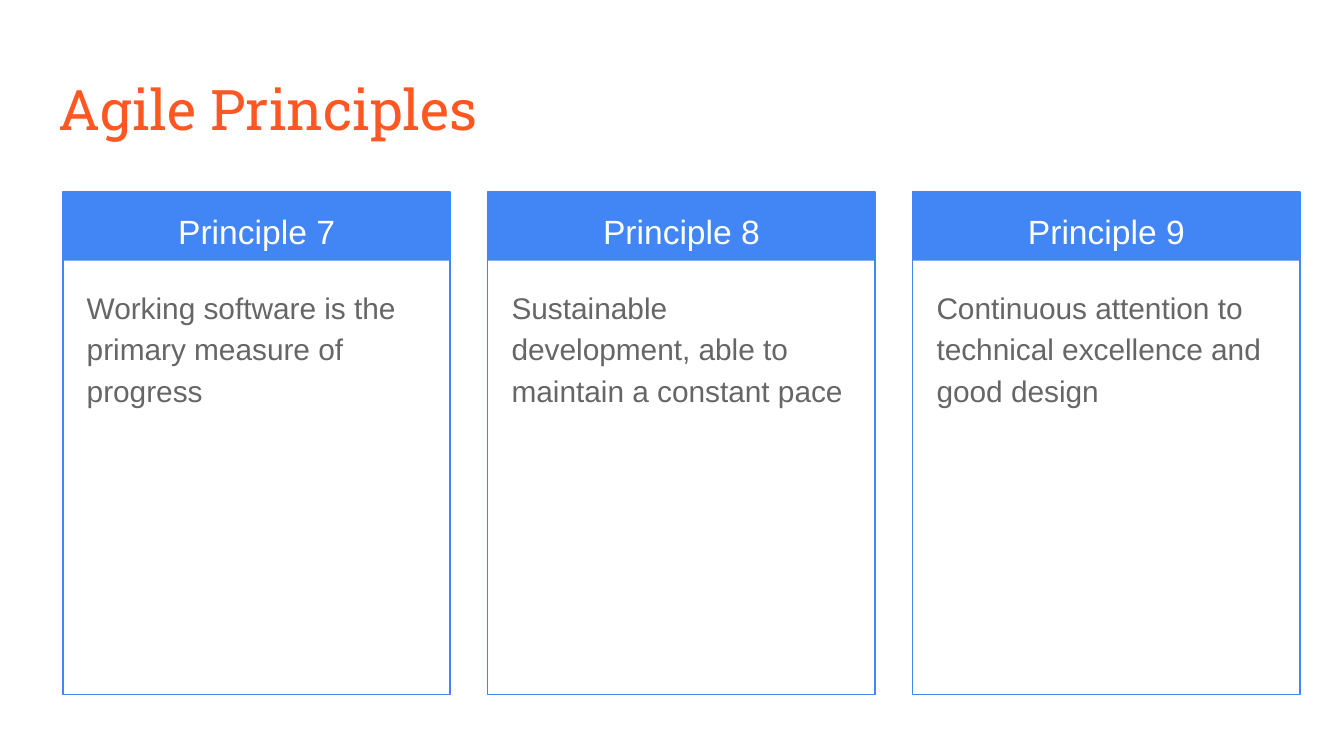
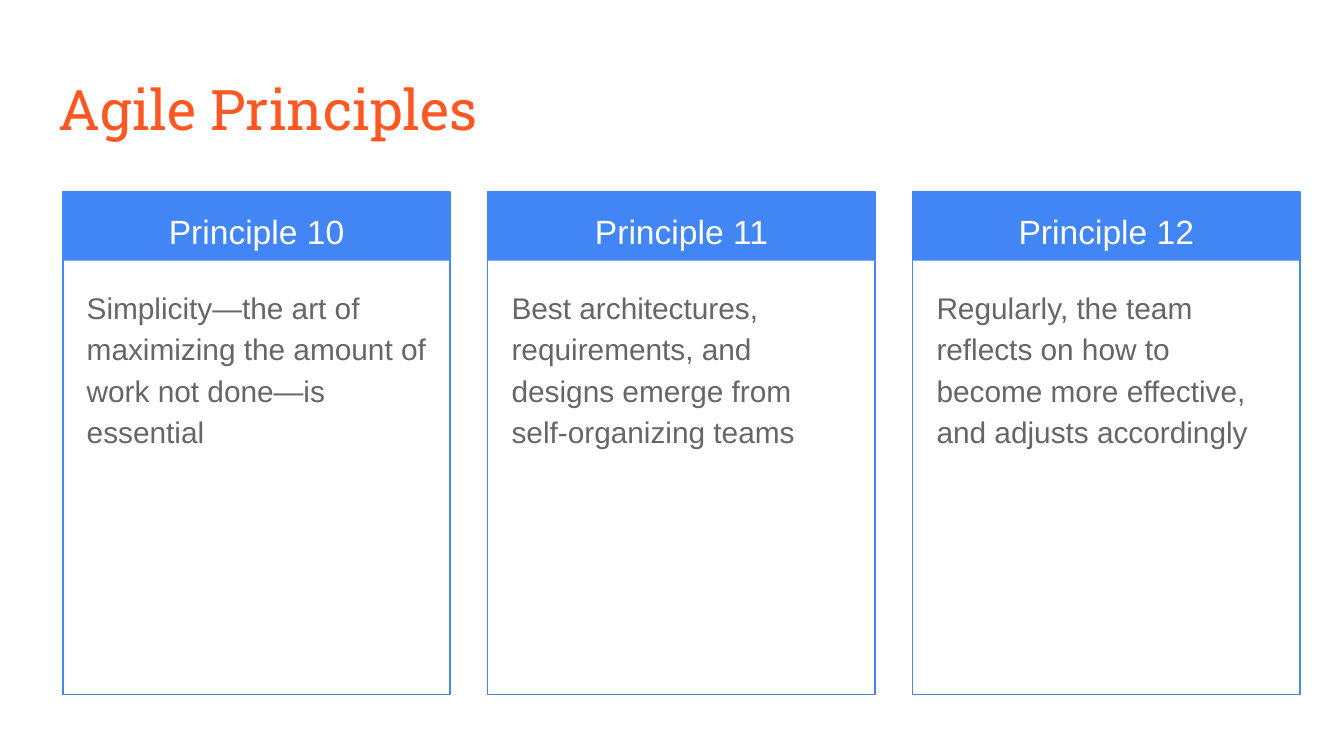
from pptx import Presentation
from pptx.dml.color import RGBColor
from pptx.enum.shapes import MSO_SHAPE
from pptx.enum.text import MSO_ANCHOR, PP_ALIGN
from pptx.util import Cm, Pt

RECTANGLE = MSO_SHAPE.RECTANGLE
LEFT, CENTER = PP_ALIGN.LEFT, PP_ALIGN.CENTER
TOP, MIDDLE = MSO_ANCHOR.TOP, MSO_ANCHOR.MIDDLE

COLORS = {"title": "FF5722", "card": "4285F4", "heading": "FFFFFF", "body": "666666"}

FORMATS = {
    "title": {
        "font": {"name": "Roboto Slab", "size": Pt(30)},
        "para": {"alignment": LEFT},
        "anchor": MIDDLE,
    },
    "heading": {
        "font": {"name": "Arial", "size": Pt(18)},
        "para": {"alignment": CENTER, "line_spacing": 1.15},
        "anchor": TOP,
    },
    "body": {
        "font": {"name": "Arial", "size": Pt(16)},
        "para": {"alignment": LEFT, "line_spacing": 1.15, "space_after": Pt(16)},
        "anchor": TOP,
    },
}

CARD_LEFT, CARD_TOP, CARD_PITCH = Cm(1.19), Cm(3.63), Cm(8.03)
CARD_WIDTH, CARD_HEIGHT, BAND_HEIGHT = Cm(7.32), Cm(9.5), Cm(1.3)
TEXT_INSET = Cm(0.2)
TEXT_WIDTH = CARD_WIDTH - 2 * TEXT_INSET
BODY_TOP, BODY_HEIGHT = Cm(5.13), Cm(7.77)

FIRST_PRINCIPLE = 7
SLIDES = [
    [
        "Working software is the primary measure of progress",
        "Sustainable development, able to maintain a constant pace",
        "Continuous attention to technical excellence and good design",
    ],
    [
        "Simplicity—the art of maximizing the amount of work not done—is essential",
        "Best architectures, requirements, and designs emerge from self-organizing teams",
        "Regularly, the team reflects on how to become more effective, and adjusts accordingly",
    ],
]


def apply(target, values):
    """Set each named attribute of target."""
    for name, value in values.items():
        setattr(target, name, value)


def color(name):
    return RGBColor.from_string(COLORS[name])


class PrincipleDeck:
    def __init__(self):
        self.deck = Presentation()
        apply(self.deck, {"slide_width": Cm(25.4), "slide_height": Cm(14.29)})
        self.page = None

    def add_page(self, title):
        self.page = self.deck.slides.add_slide(self.deck.slide_layouts[6])
        self.text(title, "title", Cm(0.86), Cm(1.24), Cm(23.67), Cm(1.6))

    def text(self, words, style, left, top, width, height):
        box = self.page.shapes.add_textbox(left, top, width, height)
        frame = box.text_frame
        inset = Cm(0.25)
        apply(frame, {
            "word_wrap": True,
            "vertical_anchor": FORMATS[style]["anchor"],
            "margin_left": inset, "margin_right": inset,
            "margin_top": inset, "margin_bottom": inset,
        })
        para = frame.paragraphs[0]
        apply(para, FORMATS[style]["para"])
        span = para.add_run()
        span.text = words
        apply(span.font, FORMATS[style]["font"])
        span.font.color.rgb = color(style)

    def rectangle(self, left, height, filled):
        """Draw a card-wide rectangle, either filled or outlined."""
        box = self.page.shapes.add_shape(RECTANGLE, left, CARD_TOP, CARD_WIDTH, height)
        box.shadow.inherit = False
        if filled:
            box.fill.solid()
            box.fill.fore_color.rgb = color("card")
            box.line.fill.background()
        else:
            box.fill.background()
            box.line.color.rgb = color("card")
            box.line.width = Pt(0.75)

    def card(self, column, heading, body):
        left = CARD_LEFT + column * CARD_PITCH
        self.rectangle(left, BAND_HEIGHT, filled=True)
        self.rectangle(left, CARD_HEIGHT, filled=False)
        text_left = left + TEXT_INSET
        self.text(heading, "heading", text_left, CARD_TOP, TEXT_WIDTH, BAND_HEIGHT)
        self.text(body, "body", text_left, BODY_TOP, TEXT_WIDTH, BODY_HEIGHT)


def main():
    builder = PrincipleDeck()
    number = FIRST_PRINCIPLE
    for principles in SLIDES:
        builder.add_page("Agile Principles")
        for column, principle in enumerate(principles):
            builder.card(column, f"Principle {number}", principle)
            number += 1
    builder.deck.save("out.pptx")


if __name__ == "__main__":
    main()
